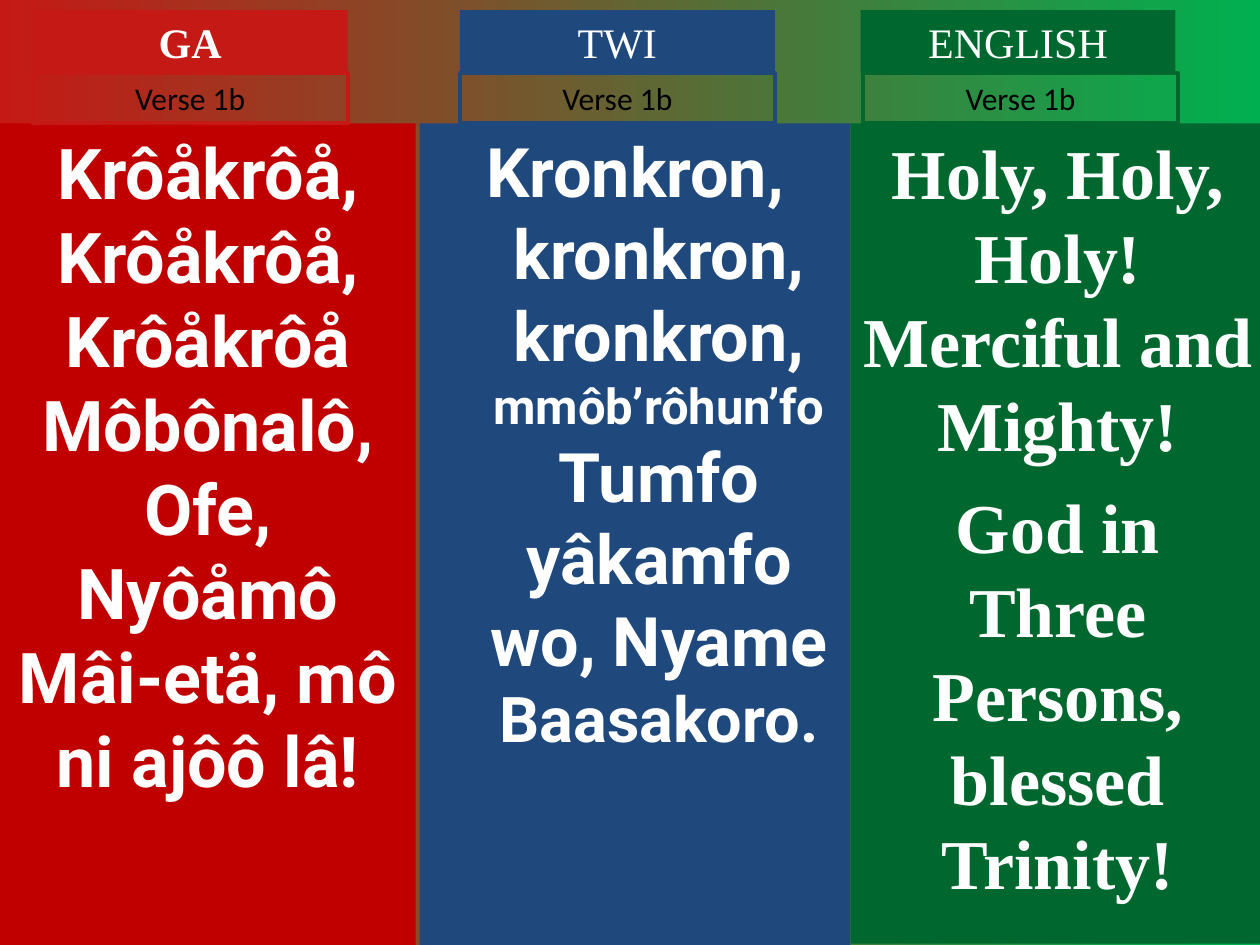
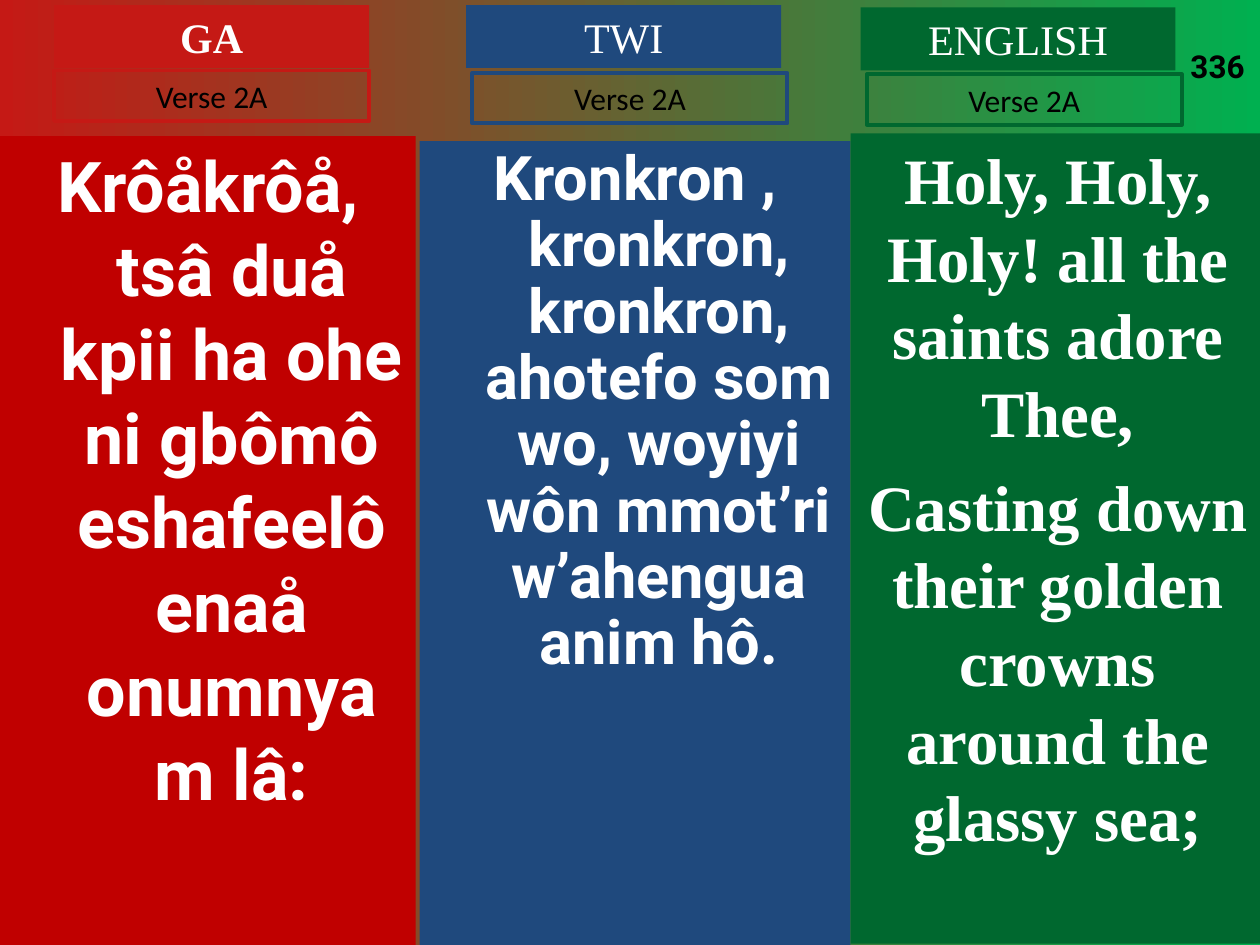
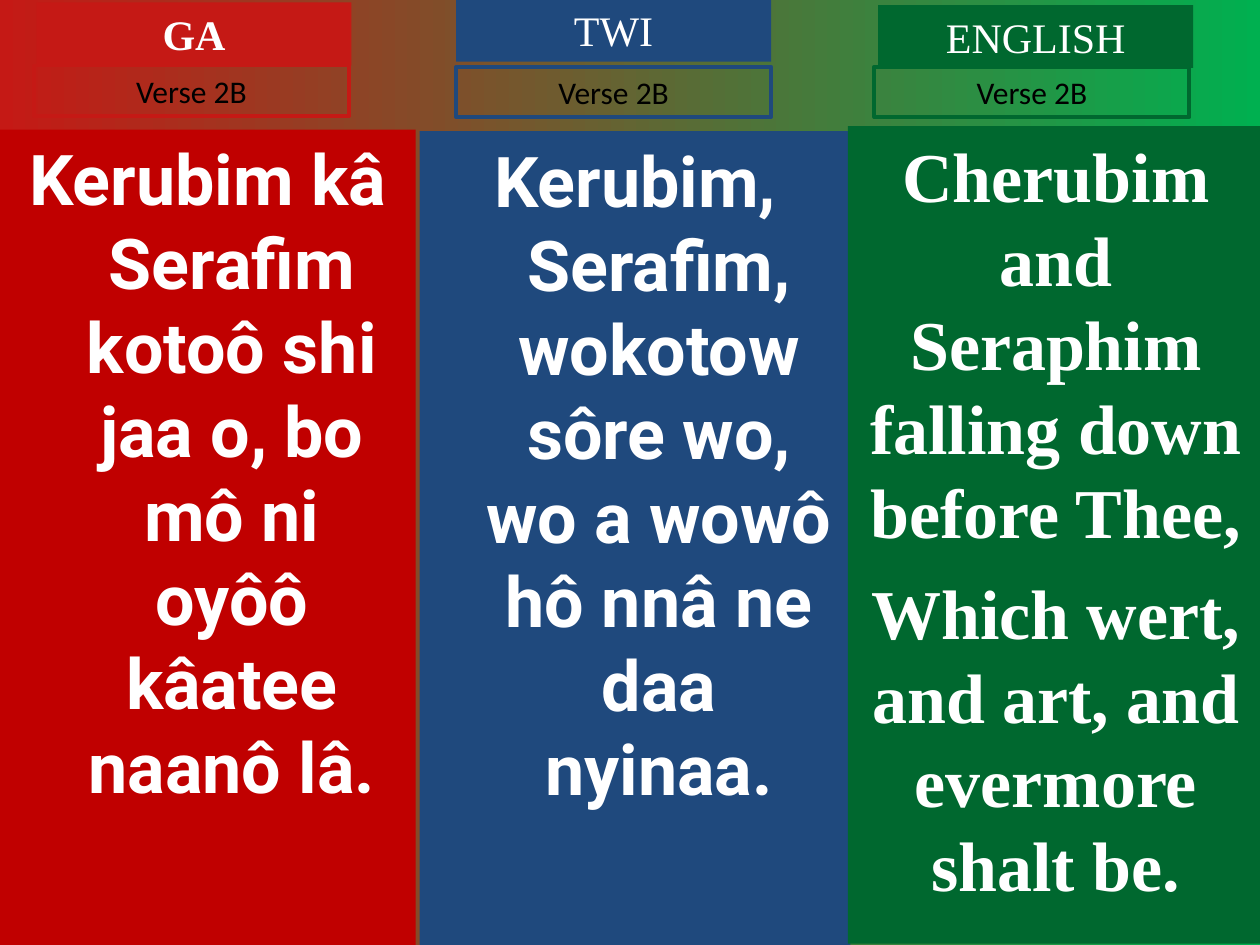
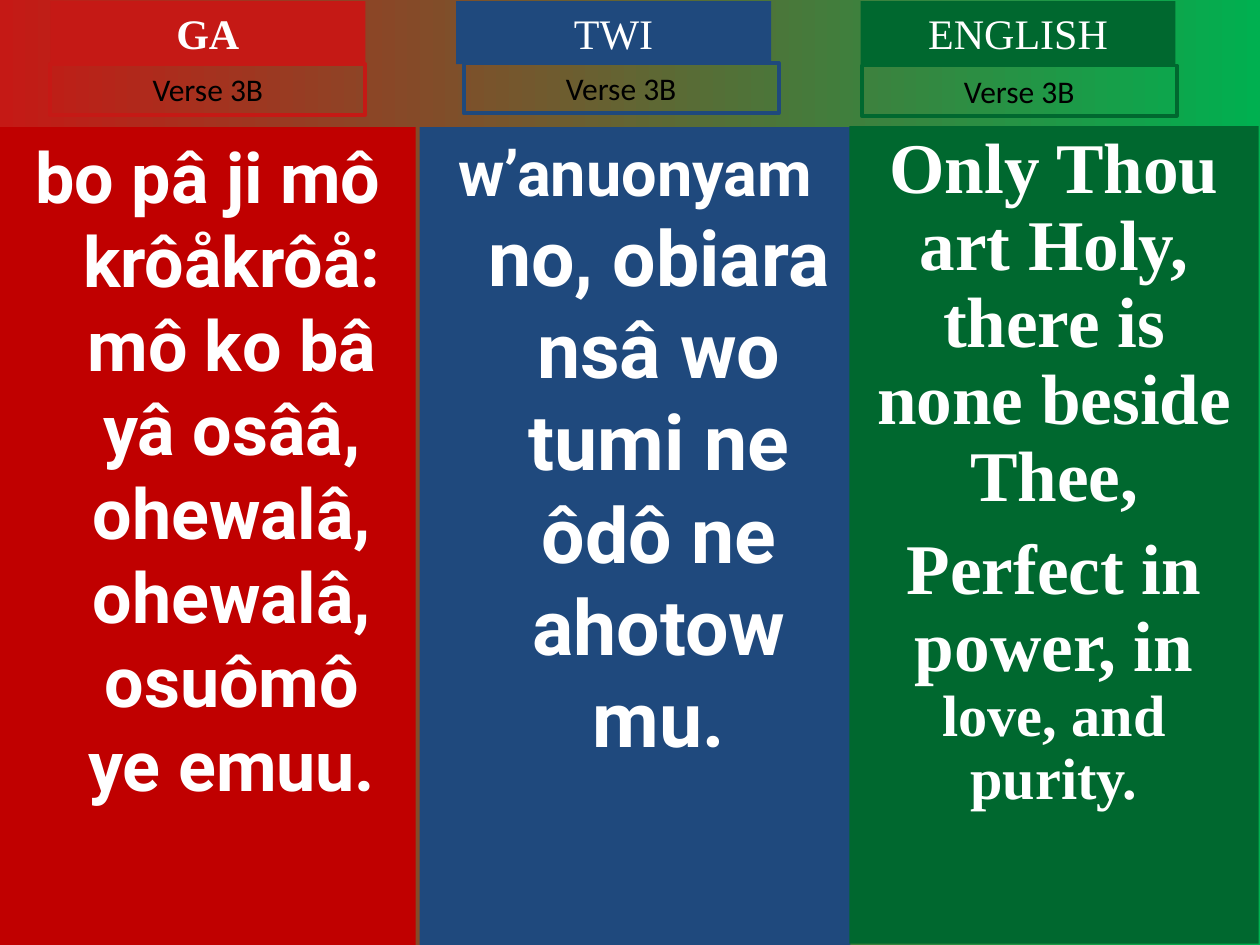
from dataclasses import dataclass

from pptx import Presentation
from pptx.dml.color import RGBColor
from pptx.enum.shapes import MSO_SHAPE
from pptx.enum.text import MSO_ANCHOR, MSO_AUTO_SIZE, PP_ALIGN
from pptx.util import Inches, Pt


@dataclass(frozen=True)
class Theme:
    start: str = "C51915"
    end: str = "00B050"
    white: str = "FFFFFF"
    black: str = "000000"
    serif: str = "Times New Roman"
    lyric: str = "Roboto"
    label: str = "Calibri"
    tag_size: float = 24
    label_size: float = 18
    border: float = 2.25


THEME = Theme()


@dataclass(frozen=True)
class Language:
    name: str
    tag_color: str
    panel_color: str
    font: str
    bold_tag: bool = False
    bottom: float = 7.5


GA = Language("GA", THEME.start, "C00000", THEME.lyric, bold_tag=True)
TWI = Language("TWI", "1F497D", "1F497D", THEME.lyric)
ENGLISH = Language("ENGLISH", "00682F", "00682F", THEME.serif, bottom=7.49)


@dataclass(frozen=True)
class Column:
    language: Language
    tag: tuple
    verse: tuple
    panel: tuple
    lyrics: tuple
    hanging: float = 0
    spacing: float = 1
    gap: float = 0


class HymnDeck:
    def __init__(self, theme):
        self.theme = theme
        self.prs = Presentation()
        self.prs.slide_width = Inches(10)
        self.prs.slide_height = Inches(7.5)
        self.slide = None

    def new_slide(self):
        self.slide = self.prs.slides.add_slide(self.prs.slide_layouts[6])
        fill = self.slide.background.fill
        fill.gradient()
        fill.gradient_angle = 0
        colors = (self.theme.start, self.theme.end)
        for position, (stop, color) in enumerate(zip(fill.gradient_stops, colors)):
            stop.color.rgb = RGBColor.from_string(color)
            stop.position = position

    def box(self, left, top, width, height, fill=None, line=None):
        sp = self.slide.shapes.add_shape(
            MSO_SHAPE.RECTANGLE, Inches(left), Inches(top), Inches(width), Inches(height))
        sp.shadow.inherit = False
        if fill:
            sp.fill.solid()
            sp.fill.fore_color.rgb = RGBColor.from_string(fill)
        else:
            sp.fill.background()
        if line:
            sp.line.color.rgb = RGBColor.from_string(line)
            sp.line.width = Pt(self.theme.border)
        else:
            sp.line.fill.background()
        tf = sp.text_frame
        tf.word_wrap = True
        tf.vertical_anchor = MSO_ANCHOR.TOP
        return tf

    def run(self, p, text, size, font, color, bold=False):
        r = p.add_run()
        r.text = text
        r.font.size = Pt(size)
        r.font.name = font
        r.font.bold = bold
        r.font.color.rgb = RGBColor.from_string(color)

    def caption(self, tf, *style):
        tf.auto_size = MSO_AUTO_SIZE.SHAPE_TO_FIT_TEXT
        p = tf.paragraphs[0]
        p.alignment = PP_ALIGN.CENTER
        self.run(p, *style)

    def tag(self, language, left, top):
        tf = self.box(left, top, 2.5, 0.5, fill=language.tag_color)
        self.caption(tf, language.name, self.theme.tag_size, self.theme.serif,
                     self.theme.white, language.bold_tag)

    def verse(self, language, text, left, top):
        tf = self.box(left, top, 2.5, 0.4, line=language.tag_color)
        self.caption(tf, text, self.theme.label_size, self.theme.label, self.theme.black)

    def panel(self, column):
        language = column.language
        left, top, width = column.panel
        tf = self.box(left, top, width, language.bottom - top, fill=language.panel_color)
        for i, runs in enumerate(column.lyrics):
            p = tf.add_paragraph() if i else tf.paragraphs[0]
            p.alignment = PP_ALIGN.CENTER
            p.line_spacing = column.spacing
            if i:
                p.space_before = Pt(column.gap)
            if column.hanging:
                pPr = p._p.get_or_add_pPr()
                pPr.set("marL", str(Inches(column.hanging)))
                pPr.set("indent", str(-Inches(column.hanging)))
            for text, size in runs:
                self.run(p, text, size, language.font, self.theme.white, bold=True)

    def number(self, text):
        sp = self.slide.shapes.add_textbox(Inches(9.35), Inches(0.02), Inches(0.67), Inches(0.7))
        tf = sp.text_frame
        tf.word_wrap = True
        tf.vertical_anchor = MSO_ANCHOR.BOTTOM
        self.run(tf.paragraphs[0], text, self.theme.label_size, self.theme.lyric,
                 self.theme.black, bold=True)

    def hymn_slide(self, verse, columns, number=None):
        self.new_slide()
        for column in columns:
            self.panel(column)
        for column in columns:
            self.tag(column.language, *column.tag)
            self.verse(column.language, verse, *column.verse)
        if number:
            self.number(number)


HANG = 0.38

VERSES = [
    ("Verse 1b", [
        Column(GA, (0.26, 0.08), (0.26, 0.58), (0, 0.98, 3.3), (
            [("Krôåkrôå, Krôåkrôå, Krôåkrôå Môbônalô, Ofe, Nyôåmô Mâi-etä, mô ni ajôô lâ!", 40)],
        )),
        Column(TWI, (3.65, 0.08), (3.65, 0.58), (3.33, 0.98, 3.42), (
            [("Kronkron, kronkron, kronkron, ", 39), ("mmôb’rôhun’fo ", 28),
             ("Tumfo yâkamfo wo, Nyame ", 39), ("Baasakoro.", 36)],
        ), hanging=HANG),
        Column(ENGLISH, (6.83, 0.08), (6.85, 0.58), (6.75, 0.98, 3.29), (
            [("Holy, Holy, Holy! Merciful and Mighty!", 40)],
            [("God in Three Persons, blessed Trinity!", 40)],
        ), gap=10),
    ], None),
    ("Verse 2A", [
        Column(GA, (0.43, 0.04), (0.43, 0.56), (0, 1.08, 3.3), (
            [("Krôåkrôå, tsâ duå kpii ha ohe ni gbômô eshafeelô enaå onumnyam lâ:", 40)],
        ), hanging=HANG),
        Column(TWI, (3.7, 0.04), (3.75, 0.58), (3.33, 1.12, 3.42), (
            [("Kronkron , kronkron, kronkron, ahotefo som wo, woyiyi wôn mmot’ri "
              "w’ahengua anim hô.", 35.1)],
        ), hanging=HANG, spacing=0.9),
        Column(ENGLISH, (6.83, 0.06), (6.88, 0.59), (6.75, 1.06, 3.29), (
            [("Holy, Holy, Holy! all the saints adore Thee,", 37)],
            [("Casting down their golden crowns around the glassy sea;", 37)],
        ), gap=9.2),
    ], "336"),
    ("Verse 2B", [
        Column(GA, (0.29, 0.02), (0.27, 0.52), (0, 1.03, 3.3), (
            [("Kerubim kâ Serafim kotoô shi jaa o, bo mô ni oyôô kâatee naanô lâ.", 40)],
        ), hanging=HANG),
        Column(TWI, (3.62, -0.01), (3.62, 0.53), (3.33, 1.04, 3.42), (
            [("Kerubim, Serafim, wokotow sôre wo, wo a wowô hô nnâ ne daa nyinaa.", 40)],
        ), hanging=HANG),
        Column(ENGLISH, (6.97, 0.04), (6.94, 0.53), (6.73, 1, 3.3), (
            [("Cherubim and Seraphim falling down before Thee,", 40)],
            [("Which wert, and art, and evermore shalt be.", 40)],
        ), gap=10),
    ], None),
    ("Verse 3B", [
        Column(GA, (0.4, 0.01), (0.4, 0.51), (0, 1.01, 3.3), (
            [("bo pâ ji mô krôåkrôå: mô ko bâ yâ osââ, ohewalâ, ohewalâ, osuômô ye emuu.", 40)],
        ), hanging=HANG),
        Column(TWI, (3.62, 0.01), (3.68, 0.5), (3.33, 1.01, 3.42), (
            [("w’anuonyam ", 36), ("no, obiara nsâ wo tumi ne ôdô ne ahotow mu.", 44)],
        ), hanging=HANG),
        Column(ENGLISH, (6.83, 0.01), (6.84, 0.52), (6.74, 1, 3.25), (
            [("Only Thou art Holy, there is none beside Thee,", 40.7)],
            [("Perfect in power, in ", 40.7), ("love, and purity.", 33.3)],
        ), spacing=0.9, gap=9),
    ], None),
]


def main():
    deck = HymnDeck(THEME)
    for verse, columns, number in VERSES:
        deck.hymn_slide(verse, columns, number)
    deck.prs.save("out.pptx")


if __name__ == "__main__":
    main()
